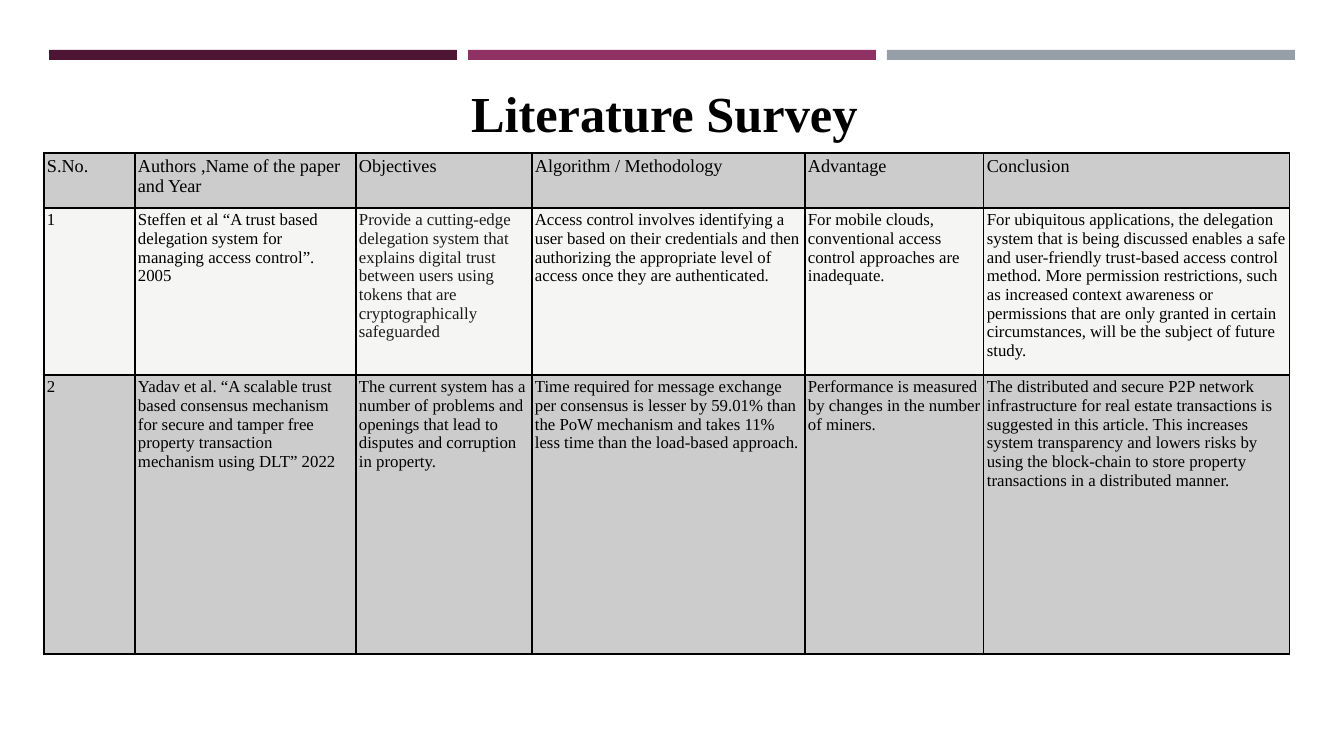
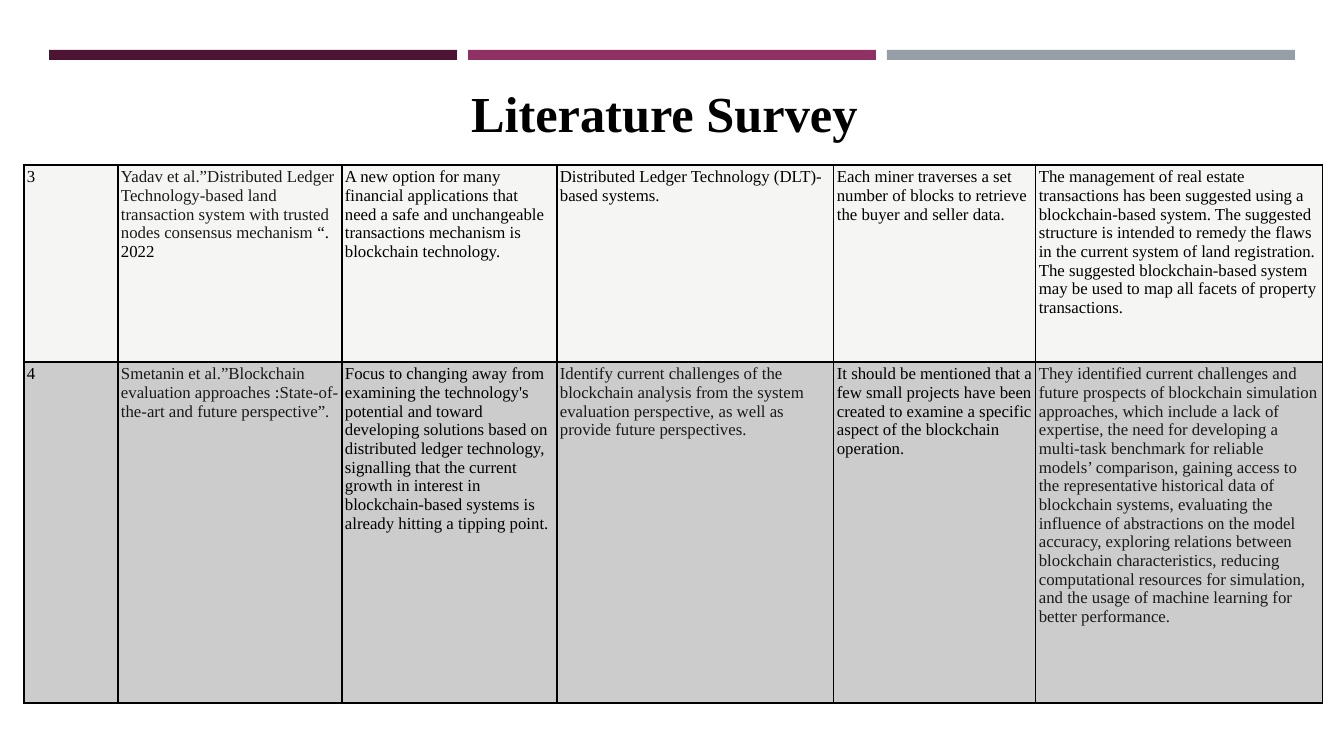
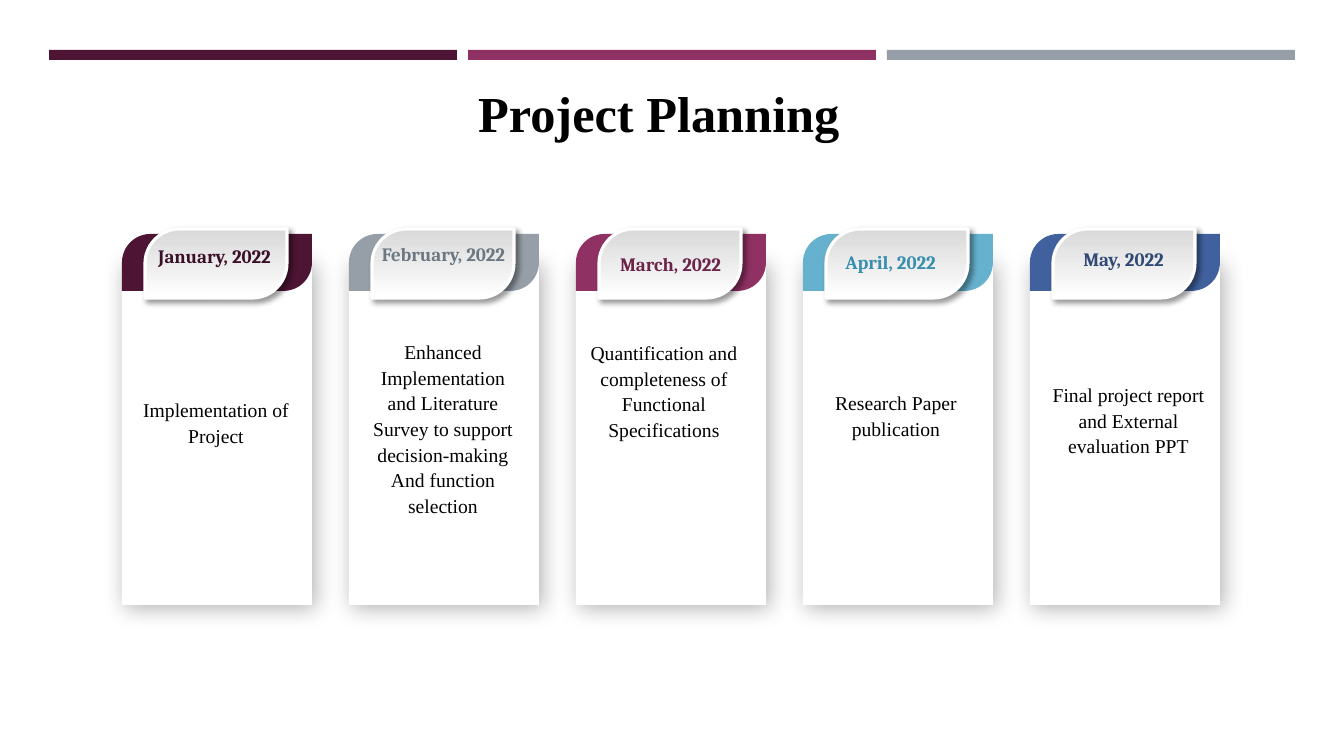
from dataclasses import dataclass
from typing import Any

from lxml.etree import SubElement
from pptx import Presentation
from pptx.dml.color import RGBColor
from pptx.enum.shapes import MSO_SHAPE
from pptx.enum.text import MSO_ANCHOR, MSO_AUTO_SIZE, PP_ALIGN
from pptx.oxml import parse_xml
from pptx.oxml.ns import nsdecls, qn
from pptx.util import Emu, Pt

EMU_PER_PX = 914400 / 100.8
SERIF = "Times New Roman"
LINE_SPACING = 1.09

COLOURS = {
    "black": "000000", "white": "FFFFFF", "ink": "1A1A1A", "pale": "F5F5F4", "silver": "D9D9D9",
    "plum": "4D1434", "grey": "969FA7", "magenta": "903163", "sky": "66B1CE", "blue": "40619D",
    "plum text": "3A0F27", "grey text": "6C7781", "magenta text": "6C254A",
    "sky text": "388EAF", "blue text": "304976",
}

TITLE_FORMAT = {"name": SERIF, "size": Pt(36), "bold": True}
HEADER_FORMAT = {"name": SERIF, "size": Pt(13), "bold": False}
CELL_FORMAT = {"name": SERIF, "size": Pt(12), "bold": False}
TASK_FORMAT = {"name": SERIF, "size": Pt(14), "bold": False}
DATE_FORMAT = {"name": "Cambria", "size": Pt(13.5), "bold": True}


def px(length: int) -> Emu:
    return Emu(round(length * EMU_PER_PX))


def rgb(colour: str) -> RGBColor:
    return RGBColor.from_string(COLOURS[colour])


@dataclass(frozen=True)
class Box:
    left: int
    top: int
    width: int
    height: int

    def emu(self) -> tuple[Emu, Emu, Emu, Emu]:
        return px(self.left), px(self.top), px(self.width), px(self.height)


@dataclass(frozen=True)
class Run:
    text: str
    colour: str = "black"


@dataclass(frozen=True)
class Row:
    height: int
    cells: list[list[Run]]
    shaded: bool
    text_format: dict[str, Any]


@dataclass(frozen=True)
class Survey:
    left: int
    top: int
    columns: list[int]
    rows: list[Row]


@dataclass(frozen=True)
class Shadow:
    opacity: int
    blur: int
    distance: int = 3
    angle: int = 45


@dataclass(frozen=True)
class Month:
    date: str
    date_left: int
    date_top: int
    colour: str
    task: list[str]
    task_box: Box


def ink(text: str) -> list[Run]:
    return [Run(text, "ink")]


def plain(*texts: str) -> list[list[Run]]:
    return [[Run(text)] for text in texts]


BAND_COLOURS = ["plum", "magenta", "grey"]
BAND = Box(49, 50, 408, 10)
BAND_STEP = 419

FIRST_SURVEY = Survey(44, 153, [91, 221, 176, 273, 179, 306], [
    Row(55, plain("S.No.", "Authors ,Name of the paper and Year", "Objectives",
                  "Algorithm / Methodology", "Advantage", "Conclusion"), True, HEADER_FORMAT),
    Row(167, [
        *plain("1", "Steffen et al “A trust based delegation system for managing access control”.  2005"),
        ink("Provide a cutting-edge delegation system that explains digital trust between users "
            "using tokens that are cryptographically safeguarded"),
        *plain(
            "Access control involves identifying a user based on their credentials and then "
            "authorizing the appropriate level of access once they are authenticated.",
            "For mobile clouds, conventional access control approaches are inadequate.",
            "For ubiquitous applications, the delegation system that is being discussed enables a "
            "safe and user-friendly trust-based access control method. More permission "
            "restrictions, such as increased context awareness or permissions that are only "
            "granted in certain circumstances, will be the subject of future study."),
    ], False, CELL_FORMAT),
    Row(279, plain(
        "2",
        "Yadav et al. “A scalable trust based consensus mechanism for secure and tamper free "
        "property transaction mechanism using DLT” 2022",
        "The current system has a number of problems and openings that lead to disputes and "
        "corruption in property.",
        "Time required for message exchange per consensus is lesser by 59.01% than the PoW "
        "mechanism and takes 11% less time than the load-based approach.",
        "Performance is measured by changes in the number of miners.",
        "The distributed and secure P2P network infrastructure for real estate transactions is "
        "suggested in this article. This increases system transparency and lowers risks by using "
        "the block-chain to store property transactions in a distributed manner."),
        True, CELL_FORMAT),
])

SECOND_SURVEY = Survey(24, 165, [94, 224, 215, 277, 202, 287], [
    Row(197, [
        *plain("3"),
        [Run("Yadav et al.”Distributed Ledger Technology-based land transaction system with "
             "trusted nodes consensus mechanism", "ink"), Run(" “. 2022")],
        *plain(
            "A new option for many financial applications that need a safe and unchangeable "
            "transactions mechanism is blockchain technology.",
            "Distributed Ledger Technology (DLT)-based systems.",
            "Each miner traverses a set number of blocks to retrieve the buyer and seller data.",
            "The management of real estate transactions has been suggested using a "
            "blockchain-based system. The suggested structure is intended to remedy the flaws in "
            "the current system of land registration. The suggested blockchain-based system may "
            "be used to map all facets of property transactions."),
    ], False, CELL_FORMAT),
    Row(341, [
        *plain("4"),
        [Run("Smetanin et al.”Blockchain evaluation approaches", "ink"), Run(" :"),
         Run("State-of-the-art and future perspective”.", "ink")],
        *plain(
            "Focus to changing away from examining the technology's potential and toward "
            "developing solutions based on distributed ledger technology, signalling that the "
            "current growth in interest in blockchain-based systems is already hitting a tipping "
            "point."),
        ink("Identify current challenges of the blockchain analysis from the system evaluation "
            "perspective, as well as provide future perspectives."),
        *plain("It should be mentioned that a few small projects have been created to examine a "
               "specific aspect of the blockchain operation."),
        ink("They identified current challenges and future prospects of blockchain simulation "
            "approaches, which include a lack of expertise, the need for developing a multi-task "
            "benchmark for reliable models’ comparison, gaining access to the representative "
            "historical data of blockchain systems, evaluating the influence of abstractions on "
            "the model accuracy, exploring relations between blockchain characteristics, reducing "
            "computational resources for simulation, and the usage of machine learning for better "
            "performance."),
    ], True, CELL_FORMAT),
])

MONTHS = [
    Month("January, 2022", 138, 238, "plum", ["Implementation of Project"],
          Box(132, 391, 168, 57)),
    Month("February, 2022", 367, 236, "grey",
          ["Enhanced Implementation and Literature Survey to support", "decision-making",
           "And function selection"], Box(359, 333, 168, 176)),
    Month("March, 2022", 594, 246, "magenta",
          ["Quantification and", "completeness of", "Functional", "Specifications"],
          Box(571, 334, 186, 105)),
    Month("April, 2022", 814, 244, "sky", ["Research Paper publication"],
          Box(812, 384, 168, 57)),
    Month("May, 2022", 1047, 241, "blue", ["Final project report and External evaluation PPT"],
          Box(1039, 376, 179, 82)),
]
CARD_LEFT, CARD_STEP, CARD_WIDTH = 122, 227, 190


def add_run(paragraph: Any, run: Run, text_format: dict[str, Any]) -> None:
    text_run = paragraph.add_run()
    text_run.text = run.text
    for attribute, value in text_format.items():
        setattr(text_run.font, attribute, value)
    text_run.font.color.rgb = rgb(run.colour)


def write_lines(shape: Any, lines: list[Run], text_format: dict[str, Any], alignment: PP_ALIGN) -> None:
    """Fill a text shape from its top, with one paragraph for each line."""
    frame = shape.text_frame
    frame_format = {"word_wrap": True, "auto_size": MSO_AUTO_SIZE.NONE,
                    "vertical_anchor": MSO_ANCHOR.TOP}
    for attribute, value in frame_format.items():
        setattr(frame, attribute, value)
    for index, line in enumerate(lines):
        paragraph = frame.add_paragraph() if index else frame.paragraphs[0]
        paragraph.alignment = alignment
        paragraph.line_spacing = LINE_SPACING
        add_run(paragraph, line, text_format)


def add_panel(slide: Any, preset: MSO_SHAPE, box: Box, colour: str, shadow: Shadow | None = None) -> Any:
    """Add a borderless shape, with an outer shadow if one is given."""
    shape = slide.shapes.add_shape(preset, *box.emu())
    shape.fill.solid()
    shape.fill.fore_color.rgb = rgb(colour)
    shape.line.fill.background()
    shape.shadow.inherit = False
    if shadow:
        effects = shape.element.spPr.find(qn("a:effectLst"))
        outer = SubElement(effects, qn("a:outerShdw"), blurRad=str(Pt(shadow.blur)),
                           dist=str(Pt(shadow.distance)), dir=str(shadow.angle * 60000),
                           algn="tl", rotWithShape="0")
        tone = SubElement(outer, qn("a:srgbClr"), val=COLOURS["black"])
        SubElement(tone, qn("a:alpha"), val=str(shadow.opacity * 1000))
    return shape


def add_leaf(slide: Any, box: Box, colour: str, shadow: Shadow | None = None) -> Any:
    """Add a panel with two opposite corners fully rounded."""
    leaf = add_panel(slide, MSO_SHAPE.ROUND_2_DIAG_RECTANGLE, box, colour, shadow)
    leaf.adjustments[0], leaf.adjustments[1] = 0.5, 0
    return leaf


def add_titled_slide(presentation: Any, title: str, title_left: int) -> Any:
    slide = presentation.slides.add_slide(presentation.slide_layouts[5])
    for index, colour in enumerate(BAND_COLOURS):
        box = Box(BAND.left + index * BAND_STEP, BAND.top, BAND.width, BAND.height)
        add_panel(slide, MSO_SHAPE.RECTANGLE, box, colour)
    placeholder = slide.shapes.title
    placeholder.left, placeholder.top, placeholder.width, placeholder.height = Box(
        title_left, 72, 651, 72).emu()
    write_lines(placeholder, [Run(title)], TITLE_FORMAT, PP_ALIGN.LEFT)
    return slide


def format_cell(cell: Any, shaded: bool) -> None:
    """Set the insets, the fill (translucent black if shaded) and thin black borders."""
    for side in ("left", "right", "top", "bottom"):
        setattr(cell, f"margin_{side}", px(3))
    cell.fill.solid()
    cell.fill.fore_color.rgb = rgb("black" if shaded else "pale")
    properties = cell._tc.get_or_add_tcPr()
    if shaded:
        SubElement(properties.find(f".//{qn('a:srgbClr')}"), qn("a:alpha"), val="20000")
    for index, edge in enumerate(("lnL", "lnR", "lnT", "lnB")):
        properties.insert(index, parse_xml(
            f'<a:{edge} {nsdecls("a")} w="{Pt(1)}"><a:solidFill>'
            f'<a:srgbClr val="{COLOURS["black"]}"/></a:solidFill></a:{edge}>'))


def add_survey(slide: Any, survey: Survey) -> None:
    box = Box(survey.left, survey.top, sum(survey.columns), sum(row.height for row in survey.rows))
    table = slide.shapes.add_table(len(survey.rows), len(survey.columns), *box.emu()).table
    table.first_row = table.horz_banding = False
    for column, width in zip(table.columns, survey.columns):
        column.width = px(width)
    for table_row, row in zip(table.rows, survey.rows):
        table_row.height = px(row.height)
        for cell, runs in zip(table_row.cells, row.cells):
            format_cell(cell, row.shaded)
            for run in runs:
                add_run(cell.text_frame.paragraphs[0], run, row.text_format)


def add_month(slide: Any, month: Month, left: int) -> None:
    """Draw a card with a coloured cap, a gradient date tab and its task."""
    add_panel(slide, MSO_SHAPE.RECTANGLE, Box(left, 262, CARD_WIDTH, 343), "white", Shadow(30, 16))
    add_leaf(slide, Box(left, 234, CARD_WIDTH, 57), month.colour)
    tab = add_leaf(slide, Box(left + 23, 229, 142, 69), "white", Shadow(40, 4))
    tab.fill.gradient()
    tab.fill.gradient_angle = 270
    for stop, colour in zip(tab.fill.gradient_stops, ("silver", "white")):
        stop.color.rgb = rgb(colour)
    tab.line.color.rgb = rgb("white")
    tab.line.width = Pt(2.25)
    task = slide.shapes.add_textbox(*month.task_box.emu())
    write_lines(task, [Run(line) for line in month.task], TASK_FORMAT, PP_ALIGN.CENTER)
    date = slide.shapes.add_textbox(*Box(month.date_left, month.date_top, 153, 33).emu())
    write_lines(date, [Run(month.date, f"{month.colour} text")], DATE_FORMAT, PP_ALIGN.CENTER)


def main() -> None:
    presentation = Presentation()
    presentation.slide_width, presentation.slide_height = px(1344), px(756)
    for survey in (FIRST_SURVEY, SECOND_SURVEY):
        add_survey(add_titled_slide(presentation, "Literature Survey", 461), survey)
    planning = add_titled_slide(presentation, "Project Planning", 468)
    for index, month in enumerate(MONTHS):
        add_month(planning, month, CARD_LEFT + index * CARD_STEP)
    presentation.save("out.pptx")


if __name__ == "__main__":
    main()
